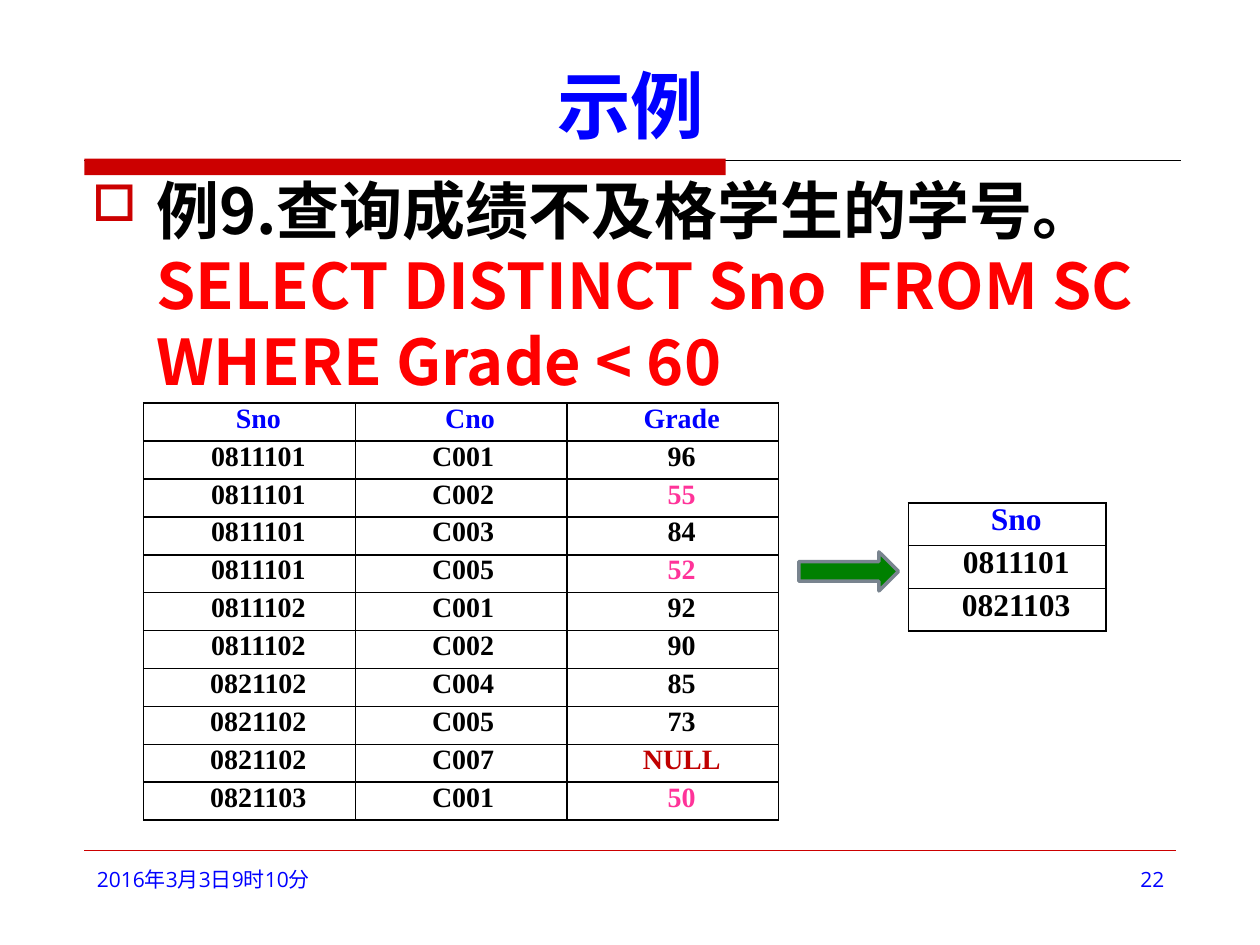
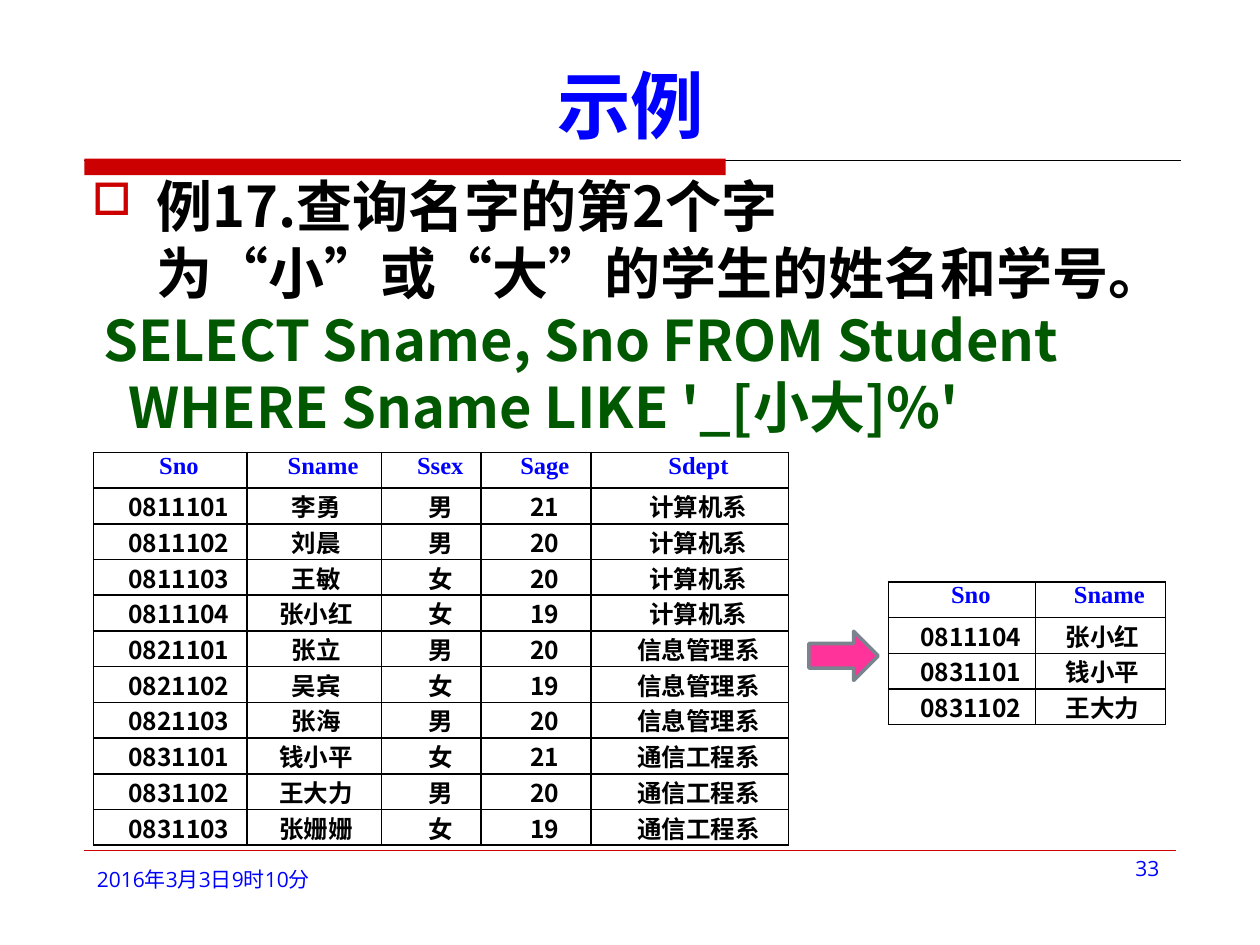
from lxml import etree
from pptx import Presentation
from pptx import util as u
from pptx.dml import color as dml
from pptx.enum import shapes, text
from pptx.oxml import ns

CJK, SANS, SERIF = "Noto Sans CJK SC", "Open Sans", "Times New Roman"
BLACK, BLUE, CRIMSON, RED = "000000", "0000FF", "CC0000", "FF0000"
GREEN, DARK_GREEN, PINK, DARK_RED, SLATE = "008000", "005800", "FF3399", "C00000", "79848F"
FIRST_LINE, TRIMMED_LINE = 0.14, 0.03


def rgb(value):
    """Turn a hex string into a colour."""
    return dml.RGBColor.from_string(value)


def child(parent, tag, **attributes):
    """Append a DrawingML element to its parent."""
    return etree.SubElement(parent, ns.qn(tag), **attributes)


def style(paragraph, size, colour, font=CJK, bold=True):
    """Format every run of a paragraph, Chinese glyphs included."""
    for run in paragraph.runs:
        run.font.size, run.font.bold, run.font.name = u.Pt(size), bold, font
        run.font.color.rgb = rgb(colour)
        child(run._r.get_or_add_rPr(), "a:ea", typeface=CJK)


def indent(paragraph, margin, first):
    """Set the left margin and first-line indent in inches."""
    properties = paragraph._p.get_or_add_pPr()
    properties.set("marL", str(u.Inches(margin)))
    properties.set("indent", str(u.Inches(first)))
    return properties


def add_rule(slide, left, right, top, colour):
    """Draw a hairline across the slide."""
    rule = slide.shapes.add_connector(
        shapes.MSO_CONNECTOR.STRAIGHT,
        u.Inches(left), u.Inches(top), u.Inches(right), u.Inches(top))
    rule.line.color.rgb, rule.line.width = rgb(colour), u.Pt(0.25)
    child(rule._element.spPr, "a:effectLst")


def add_solid(slide, kind, box, colour):
    """Place a flat filled shape in a box."""
    solid = slide.shapes.add_shape(kind, *map(u.Inches, box))
    solid.shadow.inherit = False
    solid.fill.solid()
    solid.fill.fore_color.rgb = rgb(colour)
    solid.line.fill.background()
    return solid


def add_arrow(slide, box, colour):
    """Point from the source table to the query result."""
    arrow = add_solid(slide, shapes.MSO_SHAPE.RIGHT_ARROW, box, colour)
    arrow.line.color.rgb, arrow.line.width = rgb(SLATE), u.Pt(2)


def add_note(slide, box, wording, align):
    """Write one footer entry."""
    note = slide.shapes.add_textbox(*map(u.Inches, box)).text_frame
    note.word_wrap = True
    note.text = wording
    note.paragraphs[0].alignment = align
    style(note.paragraphs[0], 12, BLUE, SANS, False)


def add_example_slide(deck, number, number_at):
    """Start a slide with the shared title, band and footer."""
    slide = deck.slides.add_slide(deck.slide_layouts[5])
    add_rule(slide, 0.67, 9.37, 1.27, BLACK)
    add_solid(slide, shapes.MSO_SHAPE.RECTANGLE, (0.67, 1.26, 5.09, 0.13), CRIMSON)
    add_rule(slide, 0.67, 9.33, 6.75, CRIMSON)
    title = slide.shapes.title
    title.left, title.top, title.width, title.height = map(u.Inches, (0.63, 0.33, 8.75, 0.9))
    title.text_frame.text = "示例"
    title.text_frame.vertical_anchor = text.MSO_ANCHOR.BOTTOM
    title.text_frame.paragraphs[0].alignment = text.PP_ALIGN.CENTER
    style(title.text_frame.paragraphs[0], 42, BLUE)
    add_note(slide, (0.67, 6.83, 2.21, 0.52), "2016年3月3日9时10分", text.PP_ALIGN.LEFT)
    add_note(slide, (*number_at, 2.17, 0.52), number, text.PP_ALIGN.RIGHT)
    return slide


def add_query(slide, box, size, question, statement, colour):
    """Write the bulleted question and the SQL lines with their indents."""
    frame = slide.shapes.add_textbox(*map(u.Inches, box)).text_frame
    frame.word_wrap = True
    lines = [(question, -0.51, BLACK)] + [(sql, first, colour) for sql, first in statement]
    for position, (wording, first, ink) in enumerate(lines):
        line = frame.add_paragraph() if position else frame.paragraphs[0]
        line.text = wording
        properties = indent(line, 0.51, first)
        style(line, size, ink)
        if not position:
            child(child(properties, "a:buClr"), "a:srgbClr", val=CRIMSON)
            child(properties, "a:buSzPct", val="80000")
            child(properties, "a:buChar", char="□")


def add_borders(cell):
    """Outline a cell in black."""
    properties = cell._tc.get_or_add_tcPr()
    for side in "LRTB":
        edge = child(properties, f"a:ln{side}", w=str(u.Pt(1)))
        child(child(edge, "a:solidFill"), "a:srgbClr", val=BLACK)


def add_relation(slide, left, top, widths, height, rows, size,
                 digit_font=SERIF, highlights=None):
    """Draw a relation with a blue header and centred records."""
    table = slide.shapes.add_table(
        len(rows), len(widths), u.Inches(left), u.Inches(top),
        u.Inches(sum(widths)), u.Inches(height)).table
    for column, width in zip(table.columns, widths):
        column.width = u.Inches(width)
    for r, record in enumerate(rows):
        table.rows[r].height = u.Inches(height / len(rows))
        for c, value in enumerate(record):
            cell = table.cell(r, c)
            add_borders(cell)
            cell.fill.background()
            cell.margin_left = cell.margin_right = u.Inches(0.07)
            cell.margin_top = cell.margin_bottom = 0
            cell.text_frame.text = value
            entry = cell.text_frame.paragraphs[0]
            entry.alignment = text.PP_ALIGN.CENTER
            indent(entry, 0, TRIMMED_LINE if r and c == 1 else FIRST_LINE)
            colour = (highlights or {}).get(value, BLACK) if r else BLUE
            style(entry, size, colour, digit_font if value.isdigit() else SERIF)


def build_failing_grades(deck):
    """Show the query for students with failing grades."""
    slide = add_example_slide(deck, "22", (7.17, 6.83))
    add_query(slide, (0.63, 1.31, 8.75, 1.89), 36, "例9.查询成绩不及格学生的学号。",
              [("SELECT DISTINCT Sno  FROM SC", 0), ("WHERE Grade < 60", 0)], RED)
    grades = [
        ("Sno", "Cno", "Grade"),
        ("0811101", "C001", "96"),
        ("0811101", "C002", "55"),
        ("0811101", "C003", "84"),
        ("0811101", "C005", "52"),
        ("0811102", "C001", "92"),
        ("0811102", "C002", "90"),
        ("0821102", "C004", "85"),
        ("0821102", "C005", "73"),
        ("0821102", "C007", "NULL"),
        ("0821103", "C001", "50"),
    ]
    marks = {"NULL": DARK_RED, **dict.fromkeys(("55", "52", "50"), PINK)}
    add_relation(slide, 1.14, 3.2, [1.68] * 3, 3.31, grades, 16, highlights=marks)
    add_arrow(slide, (6.34, 4.38, 0.79, 0.31), GREEN)
    add_relation(slide, 7.21, 3.99, [1.57], 1.02, [("Sno",), ("0811101",), ("0821103",)], 18)


def build_name_pattern(deck):
    """Show the query that matches a character set in names."""
    slide = add_example_slide(deck, "33", (7.13, 6.74))
    add_query(slide, (0.63, 1.31, 8.75, 2.44), 32,
              "例17.查询名字的第2个字为“小”或“大”的学生的姓名和学号。",
              [("SELECT Sname, Sno FROM Student", -0.42),
               ("WHERE Sname LIKE '_[小大]%'", -0.22)], DARK_GREEN)
    computing, management, telecom = "计算机系", "信息管理系", "通信工程系"
    students = [
        ("Sno", "Sname", "Ssex", "Sage", "Sdept"),
        ("0811101", "李勇", "男", "21", computing),
        ("0811102", "刘晨", "男", "20", computing),
        ("0811103", "王敏", "女", "20", computing),
        ("0811104", "张小红", "女", "19", computing),
        ("0821101", "张立", "男", "20", management),
        ("0821102", "吴宾", "女", "19", management),
        ("0821103", "张海", "男", "20", management),
        ("0831101", "钱小平", "女", "21", telecom),
        ("0831102", "王大力", "男", "20", telecom),
        ("0831103", "张姗姗", "女", "19", telecom),
    ]
    add_relation(slide, 0.74, 3.59, [1.22, 1.07, 0.79, 0.87, 1.57], 3.12, students, 14, CJK)
    matches = [("Sno", "Sname")] + [row[:2] for row in students if row[1][1] in "小大"]
    add_relation(slide, 7.05, 4.62, [1.17, 1.03], 1.13, matches, 14, CJK)
    add_arrow(slide, (6.42, 5.01, 0.55, 0.39), PINK)


def main():
    """Build the deck."""
    deck = Presentation()
    deck.slide_width, deck.slide_height = u.Inches(10), u.Inches(7.5)
    build_failing_grades(deck)
    build_name_pattern(deck)
    deck.save("out.pptx")


main()
